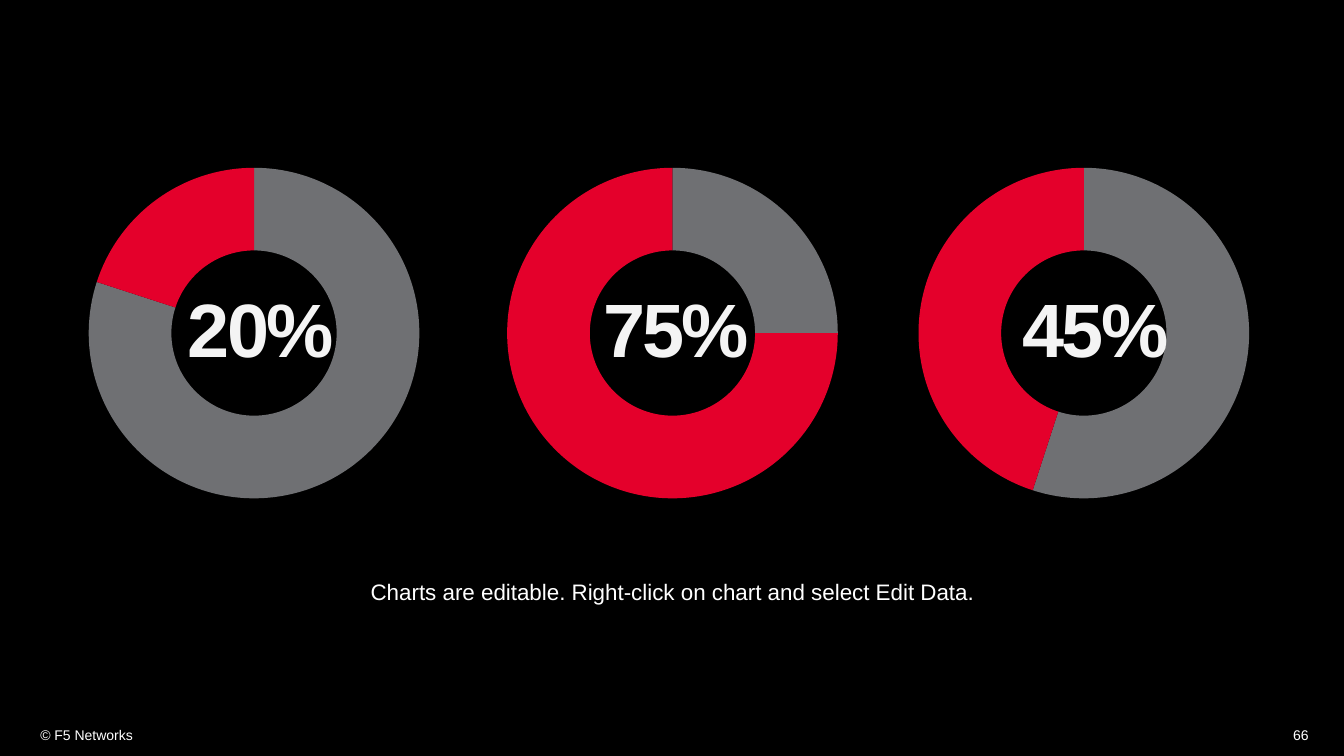
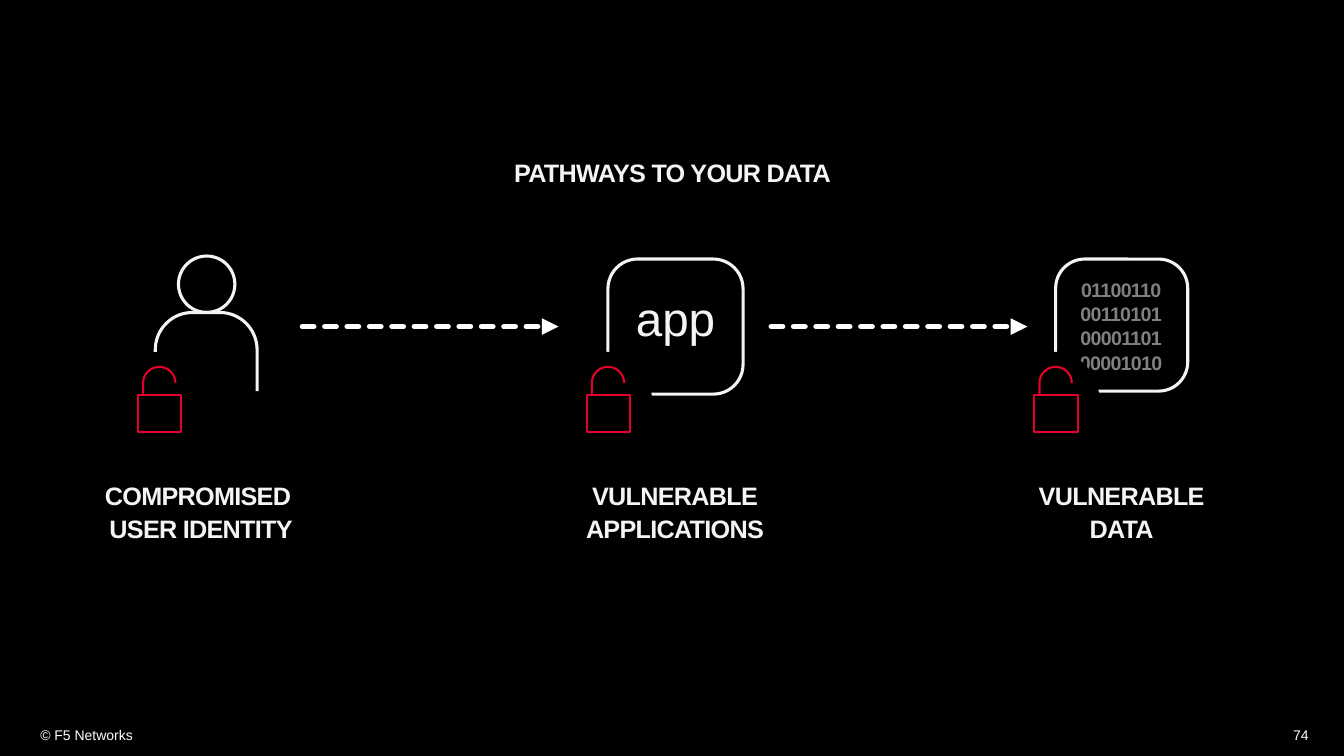
import math

from lxml import etree
from pptx import Presentation
from pptx import util as u
from pptx.chart.data import CategoryChartData
from pptx.dml.color import RGBColor
from pptx.enum import chart as charts, dml, shapes, text
from pptx.oxml.ns import qn

PX = 9144  # EMU per px, 100 px to the inch
FONT = "Arial"
COLORS = {
    "black": "000000",
    "white": "FFFFFF",
    "pale": "F4F4F4",
    "gray": "808080",
    "silver": "B6B8BC",
    "red": "E4002B",
}
CENTER = text.PP_ALIGN.CENTER
OVAL = shapes.MSO_SHAPE.OVAL


def color(name):
    return RGBColor.from_string(COLORS[name])


def arc(x, y, radius, start, end, steps=24):
    """Points on a circle; degrees run clockwise from the right."""
    angles = [math.radians(start + (end - start) * i / steps) for i in range(steps + 1)]
    return [(x + radius * math.cos(a), y + radius * math.sin(a)) for a in angles]


class Deck:
    def __init__(self):
        self.presentation = Presentation()
        self.presentation.slide_width = 1333 * PX
        self.presentation.slide_height = 750 * PX
        background = self.presentation.slide_master.background.fill
        background.solid()
        background.fore_color.rgb = color("black")
        self.slide = None

    def add_slide(self, number, title=None):
        layout = self.presentation.slide_layouts[5 if title else 6]
        self.slide = self.presentation.slides.add_slide(layout)
        if title:
            shape = self.slide.shapes.title
            shape.left, shape.top, shape.width, shape.height = (
                v * PX for v in (234, 123, 866, 96))
            self.set_text(shape, title, 18, "pale", bold=True, spacing=-0.5)
        self.text(23, 709, 450, 40, "© F5 Networks", 10,
                  align=text.PP_ALIGN.LEFT, margin=17)
        self.text(985, 709, 330, 40, number, 10,
                  align=text.PP_ALIGN.RIGHT, margin=17)

    def set_text(self, shape, content, size, ink="white", bold=False, spacing=0,
                 align=CENTER, line_spacing=1.0):
        """Fill a shape with text; size and letter spacing are in points."""
        frame = shape.text_frame
        frame.text = content
        frame.word_wrap = True
        frame.auto_size = text.MSO_AUTO_SIZE.NONE
        frame.vertical_anchor = text.MSO_ANCHOR.MIDDLE
        for paragraph in frame.paragraphs:
            paragraph.alignment = align
            paragraph.line_spacing = line_spacing
            for run in paragraph.runs:
                run.font.name = FONT
                run.font.size = u.Pt(size)
                run.font.bold = bold
                run.font.color.rgb = color(ink)
                if spacing:
                    run._r.get_or_add_rPr().set("spc", str(round(spacing * 100)))

    def text(self, left, top, width, height, content, size, ink="white",
             margin=None, **style):
        box = self.slide.shapes.add_textbox(left * PX, top * PX, width * PX, height * PX)
        if margin is not None:
            frame = box.text_frame
            frame.margin_left = frame.margin_right = margin * PX
            frame.margin_top = frame.margin_bottom = margin * PX
        self.set_text(box, content, size, ink, **style)

    def paint(self, shape, fill=None, line=None, weight=2.2):
        shape.shadow.inherit = False
        if fill:
            shape.fill.solid()
            shape.fill.fore_color.rgb = color(fill)
        else:
            shape.fill.background()
        if line:
            shape.line.color.rgb = color(line)
            shape.line.width = u.Pt(weight)
        else:
            shape.line.fill.background()

    def shape(self, kind, left, top, width, height, **style):
        shape = self.slide.shapes.add_shape(
            kind, left * PX, top * PX, width * PX, height * PX)
        self.paint(shape, **style)
        return shape

    def outline(self, points, **style):
        """Draw an open stroke through points given in px."""
        scaled = [(x * PX, y * PX) for x, y in points]
        builder = self.slide.shapes.build_freeform(*scaled[0])
        builder.add_line_segments(scaled[1:], close=False)
        self.paint(builder.convert_to_shape(), **style)

    def rounded_square(self, left, top, side):
        square = self.shape(shapes.MSO_SHAPE.ROUNDED_RECTANGLE, left, top, side, side,
                            line="pale")
        square.adjustments[0] = 0.22

    def arrow(self, left, right, y):
        connector = self.slide.shapes.add_connector(
            shapes.MSO_CONNECTOR.STRAIGHT, left * PX, y * PX, right * PX, y * PX)
        line = connector.line
        line.color.rgb = color("white")
        line.width = u.Pt(4)
        line.dash_style = dml.MSO_LINE.SQUARE_DOT
        properties = connector._element.spPr
        outline = properties.find(qn("a:ln"))
        outline.set("cap", "rnd")
        etree.SubElement(outline, qn("a:tailEnd"), type="triangle")
        etree.SubElement(properties, qn("a:effectLst"))

    def doughnut(self, left, top, width, height, share):
        """Draw a ring whose last part, in red, is share percent."""
        data = CategoryChartData()
        data.categories = ["1", "2"]
        data.add_series("Series 1", [100 - share, share])
        chart = self.slide.shapes.add_chart(
            charts.XL_CHART_TYPE.DOUGHNUT, left * PX, top * PX,
            width * PX, height * PX, data).chart
        chart.has_legend = chart.has_title = False
        chart.font.name = FONT
        chart.font.size = u.Pt(10.5)
        chart.font.color.rgb = color("white")
        plot = chart.plots[0]
        plot.vary_by_categories = True
        series = plot.series[0]
        for index, name in enumerate(["silver", "red"]):
            look = series.points[index].format
            look.fill.solid()
            look.fill.fore_color.rgb = color(name)
            look.line.fill.background()
        for element in series._element.iter(qn("a:srgbClr")):
            if element.get("val") == COLORS["silver"]:
                etree.SubElement(element, qn("a:alpha"), val="61000")
        area = chart._chartSpace.chart.plotArea
        area.find(".//" + qn("c:holeSize")).set("val", "85")
        for layout in area.findall(qn("c:layout")):
            area.remove(layout)
        layout = etree.Element(qn("c:layout"))
        manual = etree.SubElement(layout, qn("c:manualLayout"))
        ring = 328
        for tag, value in [
            ("layoutTarget", "inner"), ("xMode", "edge"), ("yMode", "edge"),
            ("x", (1 - ring / width) / 2), ("y", (1 - ring / height) / 2),
            ("w", ring / width), ("h", ring / height),
        ]:
            etree.SubElement(manual, qn("c:" + tag), val=str(value))
        area.insert(0, layout)

    def person(self):
        shoulders = arc(191, 347, 37, 180, 270) + arc(218, 347, 37, 270, 360)
        self.outline([(154, 388), *shoulders, (255, 388)], line="pale")
        self.shape(OVAL, 177, 254, 56, 56, line="pale")

    def open_lock(self, left):
        """Draw a red open lock on a black oval that hides what lies below."""
        self.shape(OVAL, left, 349, 88, 103, fill="black")
        self.shape(shapes.MSO_SHAPE.RECTANGLE, left + 23, 392, 43, 37,
                   line="red", weight=1.5)
        shackle = arc(left + 44, 380, 16, 180, 360)
        self.outline([(left + 28, 391), *shackle], line="red", weight=1.5)


def main():
    deck = Deck()

    deck.add_slide("66")
    rings = [(0, 150, 20), (415, 562, 75), (823, 978, 45)]
    for chart_left, label_left, share in rings:
        deck.doughnut(chart_left, 153, 504, 355, share)
        deck.text(label_left, 284, 217, 92, f"{share}%", 54, "pale",
                  bold=True, spacing=-2, line_spacing=0.9)
    deck.text(346, 556, 642, 61,
              "Charts are editable. Right-click on chart and select Edit Data.",
              16, margin=17)

    deck.add_slide("74", "PATHWAYS TO YOUR DATA")
    deck.person()
    deck.rounded_square(603, 257, 134)
    deck.text(602, 265, 136, 100, "app", 34, "pale")
    deck.rounded_square(1047, 257, 131)
    deck.text(1045, 254, 134, 138, "01100110\n00110101\n00001101\n00001010", 14, "gray",
              bold=True, spacing=-0.5, line_spacing=1.03)
    for left in (300, 765):
        deck.arrow(left, left + 254, 324)
    stages = [
        (114, 33, "COMPROMISED \nUSER IDENTITY"),
        (559, 503, "VULNERABLE\nAPPLICATIONS"),
        (1003, 946, "VULNERABLE\nDATA"),
    ]
    for lock_left, label_left, label in stages:
        deck.open_lock(lock_left)
        deck.text(label_left, 459, 333, 96, label, 18, "pale",
                  bold=True, spacing=-0.5, line_spacing=1.07)

    deck.presentation.save("out.pptx")


if __name__ == "__main__":
    main()
